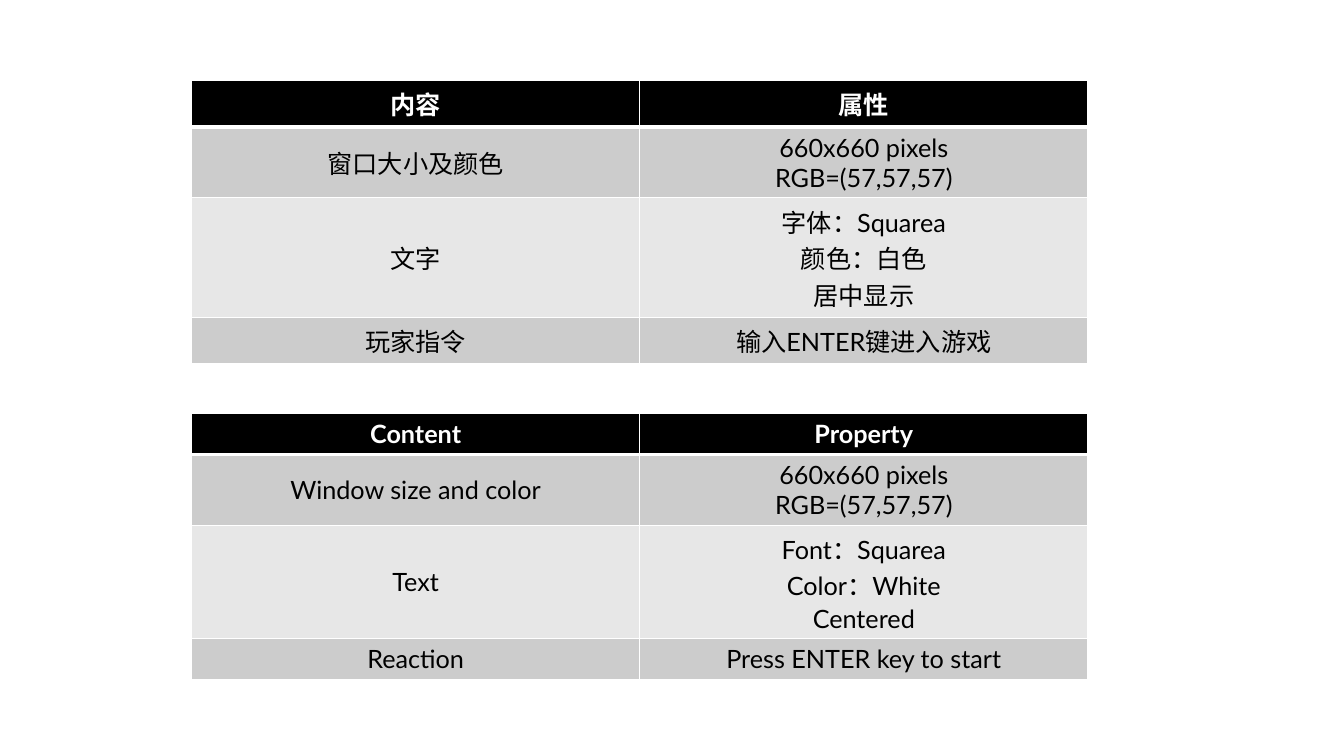
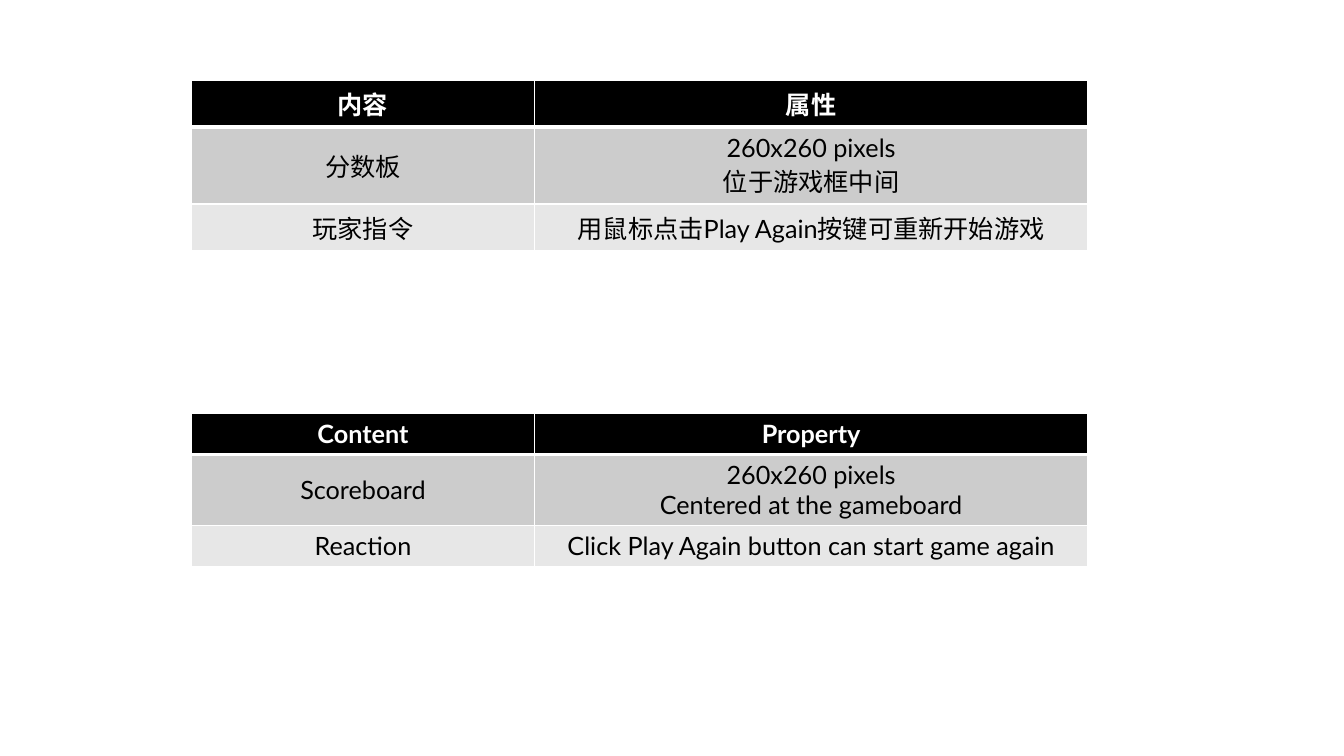
from lxml import etree
from pptx import Presentation
from pptx.dml.color import RGBColor
from pptx.enum.text import MSO_ANCHOR, PP_ALIGN
from pptx.oxml.ns import qn
from pptx.util import Inches, Pt

CENTER = PP_ALIGN.CENTER
MIDDLE = MSO_ANCHOR.MIDDLE


def color(code):
    """Turn a hex string into a colour."""
    return RGBColor.from_string(code)


class Deck:
    """Hold the table style and the current slide."""

    font, size = "Lato", 18
    black, white = "000000", "FFFFFF"
    bands = ("CCCCCC", "E7E7E7")
    left, width, row = 1.9, 8.89, 0.41
    tops = (0.8, 4.1)
    thin, thick = 1, 3

    def __init__(self):
        """Start an empty widescreen deck."""
        self.deck = Presentation()
        self.deck.slide_width = Inches(13.33)
        self.deck.slide_height = Inches(7.5)
        self.slide = None

    def page(self, first, tables):
        """Add a slide with tables whose first column has the given width."""
        self.slide = self.deck.slides.add_slide(self.deck.slide_layouts[6])
        for top, rows in zip(self.tops, tables):
            self.table(top, first, rows)

    def table(self, top, first, rows):
        """Add a two-column table with a black header and grey bands."""
        frame = self.slide.shapes.add_table(
            len(rows), 2, Inches(self.left), Inches(top),
            Inches(self.width), Inches(self.row * len(rows)))
        grid = frame.table
        for col, wide in zip(grid.columns, (first, self.width - first)):
            col.width = Inches(wide)
        for r, texts in enumerate(rows):
            grid.rows[r].height = Inches(self.row)
            for c, text in enumerate(texts):
                self.cell(grid.cell(r, c), text, r)

    def cell(self, cell, text, row):
        """Fill and style one cell by its row number."""
        head = row == 0
        self.edge(cell, "L", self.thin)
        self.edge(cell, "R", self.thin)
        self.edge(cell, "T", self.thick if row == 1 else self.thin)
        self.edge(cell, "B", self.thick if head else self.thin)
        cell.fill.solid()
        fill = self.black if head else self.bands[(row - 1) % 2]
        cell.fill.fore_color.rgb = color(fill)
        cell.vertical_anchor = MIDDLE
        cell.text_frame.text = text
        for para in cell.text_frame.paragraphs:
            para.alignment = CENTER
            para.font.name = self.font
            para.font.size = Pt(self.size)
            para.font.bold = head
            para.font.color.rgb = color(self.white if head else self.black)

    def edge(self, cell, side, points):
        """Draw one white cell border."""
        props = cell._tc.get_or_add_tcPr()
        line = etree.SubElement(props, qn("a:ln" + side), w=str(Pt(points)))
        fill = etree.SubElement(line, qn("a:solidFill"))
        etree.SubElement(fill, qn("a:srgbClr"), val=self.white)


def main():
    """Build and save the deck."""
    deck = Deck()
    heads = (("内容", "属性"), ("Content", "Property"))
    window = "660x660 pixels\nRGB=(57,57,57)"
    deck.page(deck.width / 2, (
        (heads[0],
         ("窗口大小及颜色", window),
         ("文字", "字体：Squarea\n颜色：白色\n居中显示"),
         ("玩家指令", "输入ENTER键进入游戏")),
        (heads[1],
         ("Window size and color", window),
         ("Text", "Font：Squarea\nColor：White\nCentered"),
         ("Reaction", "Press ENTER key to start"))))
    deck.page(3.4, (
        (heads[0],
         ("分数板", "260x260 pixels\n位于游戏框中间"),
         ("玩家指令", "用鼠标点击Play Again按键可重新开始游戏")),
        (heads[1],
         ("Scoreboard", "260x260 pixels\nCentered at the gameboard"),
         ("Reaction", "Click Play Again button can start game again"))))
    deck.deck.save("out.pptx")


if __name__ == "__main__":
    main()
